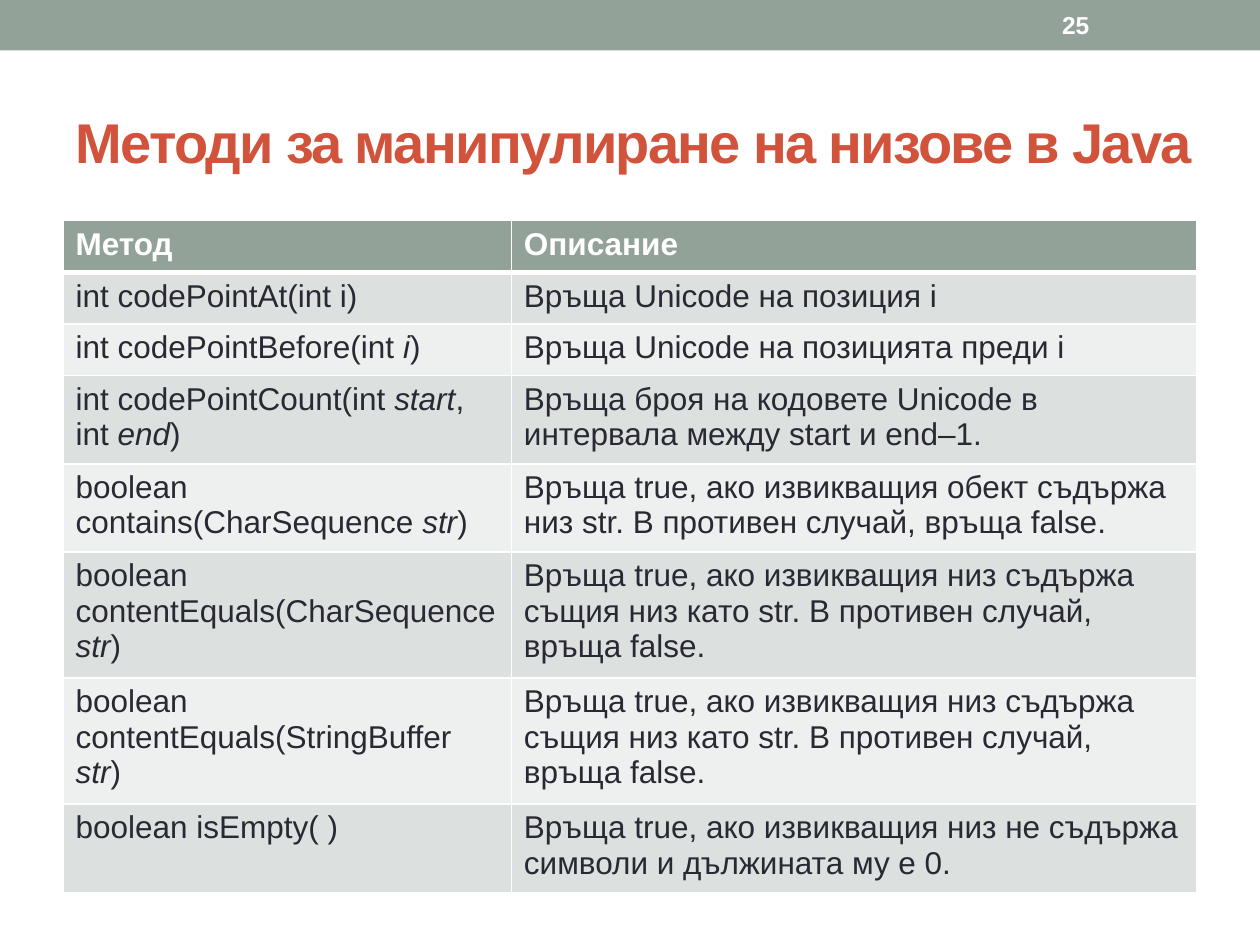
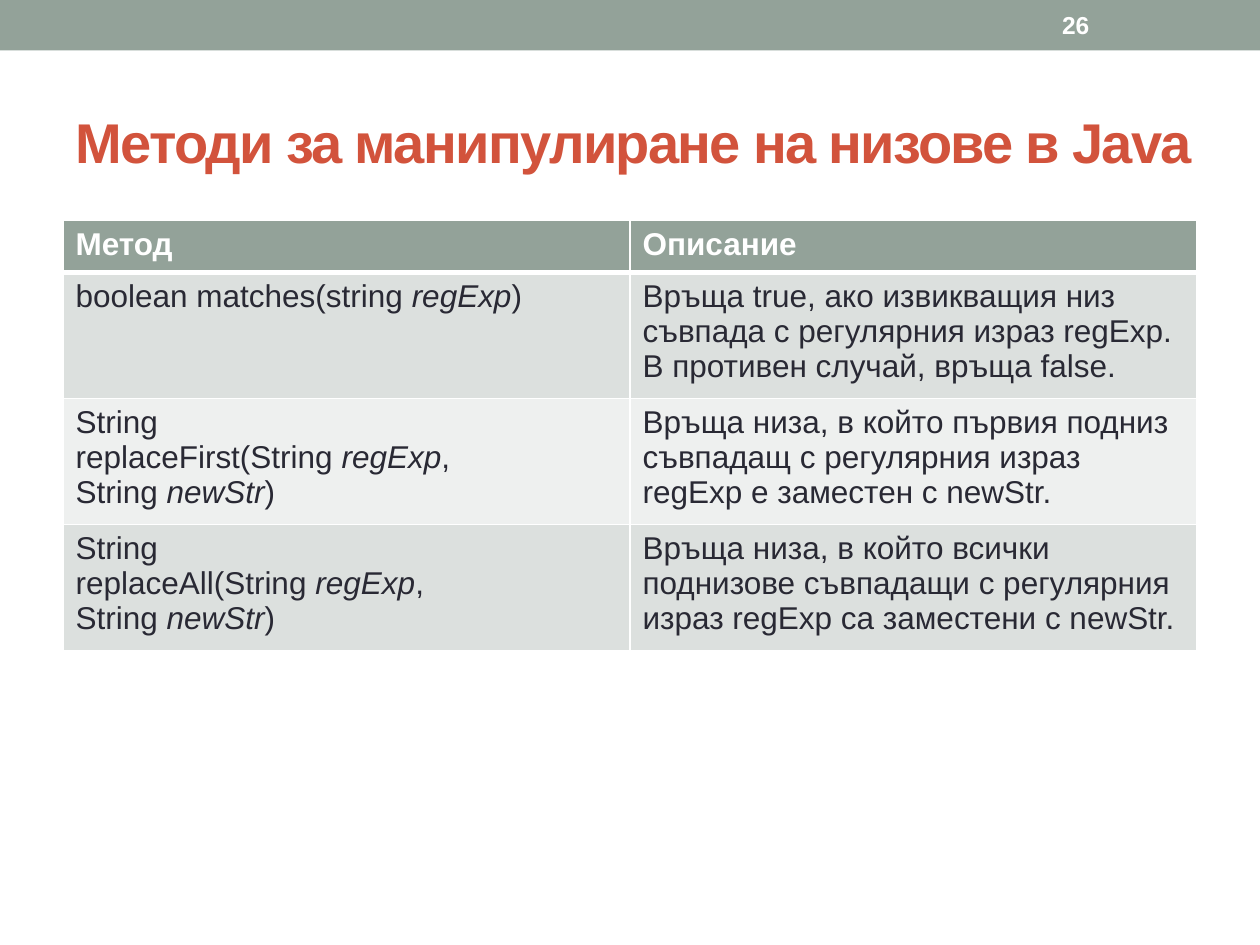
"""Builds two slides with tables of Java string methods."""
import lxml.etree
import pptx
import pptx.dml.color
import pptx.enum.shapes
import pptx.enum.text
import pptx.oxml.ns
import pptx.util

Cm, Pt = pptx.util.Cm, pptx.util.Pt
RGBColor = pptx.dml.color.RGBColor

TITLE = "Методи за манипулиране на низове в Java"
HEADINGS = ("Метод", "Описание")
SAME_CONTENT = "Връща true, ако извикващия низ съдържа същия низ като str. В противен случай, връща false."

# Asterisks enclose italic parameter names; a line break starts a paragraph.
SLIDES = [
    {
        "number": 25,
        "column_widths": (9.04, 13.82),
        "methods": [
            ("int codePointAt(int i)", "Връща Unicode на позиция i"),
            ("int codePointBefore(int *i*)", "Връща Unicode на позицията преди i"),
            ("int codePointCount(int *start*, int *end*)",
             "Връща броя на кодовете Unicode в интервала между start и end–1."),
            ("boolean contains(CharSequence *str*)",
             "Връща true, ако извикващия обект съдържа низ str. В противен случай, връща false."),
            ("boolean contentEquals(CharSequence *str*)", SAME_CONTENT),
            ("boolean contentEquals(StringBuffer *str*)", SAME_CONTENT),
            ("boolean isEmpty( )",
             "Връща true, ако извикващия низ не съдържа символи и дължината му е 0."),
        ],
    },
    {
        "number": 26,
        "column_widths": (11.43, 11.43),
        "methods": [
            ("boolean matches(string *regExp*)",
             "Връща true, ако извикващия низ съвпада с регулярния израз regExp. "
             "В противен случай, връща false."),
            ("String\nreplaceFirst(String *regExp*,\nString *newStr*)",
             "Връща низа, в който първия подниз съвпадащ с регулярния израз regExp "
             "е заместен с newStr."),
            ("String\nreplaceAll(String *regExp*,\nString *newStr*)",
             "Връща низа, в който всички поднизове съвпадащи с регулярния израз regExp "
             "са заместени с newStr."),
        ],
    },
]

FONT = "Arial"
SAGE = RGBColor(0x93, 0xA2, 0x99)
RED = RGBColor(0xD2, 0x53, 0x3C)
INK = RGBColor(0x29, 0x29, 0x34)
WHITE = RGBColor(0xFF, 0xFF, 0xFF)
ROW_FILLS = (RGBColor(0xEE, 0xF0, 0xEF), RGBColor(0xDC, 0xE0, 0xDE))

SLIDE_WIDTH, SLIDE_HEIGHT = Cm(25.4), Cm(19.05)
BAND_HEIGHT = Cm(1.02)
MARGIN = Cm(1.27)
TABLE_TOP = Cm(4.45)
ROW_HEIGHT = Cm(1.04)
THIN, THICK = Pt(1), Pt(3)


def style(paragraph, size, color, bold):
    font = paragraph.font
    font.name, font.size, font.bold = FONT, Pt(size), bold
    font.color.rgb = color


def add_band(slide):
    band = slide.shapes.add_shape(
        pptx.enum.shapes.MSO_SHAPE.RECTANGLE, 0, 0, SLIDE_WIDTH, BAND_HEIGHT)
    band.shadow.inherit = False
    band.fill.solid()
    band.fill.fore_color.rgb = SAGE
    band.line.fill.background()


def add_label(slide, text, place, size, color):
    frame = slide.shapes.add_textbox(*place).text_frame
    frame.word_wrap = True
    frame.vertical_anchor = pptx.enum.text.MSO_ANCHOR.MIDDLE
    label = frame.paragraphs[0]
    label.add_run().text = text
    style(label, size, color, True)
    return label


def set_borders(cell, top, bottom):
    properties = cell._tc.get_or_add_tcPr()
    widths = {"lnL": THIN, "lnR": THIN, "lnT": top, "lnB": bottom}
    for position, (side, width) in enumerate(widths.items()):
        border = lxml.etree.Element(pptx.oxml.ns.qn(f"a:{side}"), w=str(int(width)))
        fill = lxml.etree.SubElement(border, pptx.oxml.ns.qn("a:solidFill"))
        lxml.etree.SubElement(fill, pptx.oxml.ns.qn("a:srgbClr"), val=str(WHITE))
        properties.insert(position, border)


def fill_cell(cell, text, row):
    is_heading = row == 0
    cell.fill.solid()
    cell.fill.fore_color.rgb = SAGE if is_heading else ROW_FILLS[row % 2]
    set_borders(cell, THICK if row == 1 else THIN, THICK if is_heading else THIN)
    for index, line in enumerate(text.split("\n")):
        frame = cell.text_frame
        paragraph = frame.add_paragraph() if index else frame.paragraphs[0]
        style(paragraph, 18, WHITE if is_heading else INK, is_heading)
        for part, words in enumerate(line.split("*")):
            run = paragraph.add_run()
            run.text = words
            if part % 2:
                run.font.italic = True


def add_methods(slide, methods, column_widths):
    rows = [HEADINGS, *methods]
    table = slide.shapes.add_table(
        len(rows), len(HEADINGS), MARGIN, TABLE_TOP,
        Cm(sum(column_widths)), ROW_HEIGHT * len(rows)).table
    table.horz_banding = False
    for column, width in zip(table.columns, column_widths):
        column.width = Cm(width)
    for row, texts in enumerate(rows):
        for column, text in enumerate(texts):
            fill_cell(table.cell(row, column), text, row)


def main():
    deck = pptx.Presentation()
    deck.slide_width, deck.slide_height = SLIDE_WIDTH, SLIDE_HEIGHT
    for content in SLIDES:
        slide = deck.slides.add_slide(deck.slide_layouts[6])
        add_band(slide)
        title = add_label(slide, TITLE, (MARGIN, Cm(1.47), Cm(23.62), Cm(2.74)), 32, RED)
        title.runs[0].font._element.set("spc", "-100")
        add_methods(slide, content["methods"], content["column_widths"])
        add_label(slide, str(content["number"]),
                  (Cm(21.16), Cm(0.05), Cm(2.97), Cm(0.91)), 14, WHITE)
    deck.save("out.pptx")


if __name__ == "__main__":
    main()
